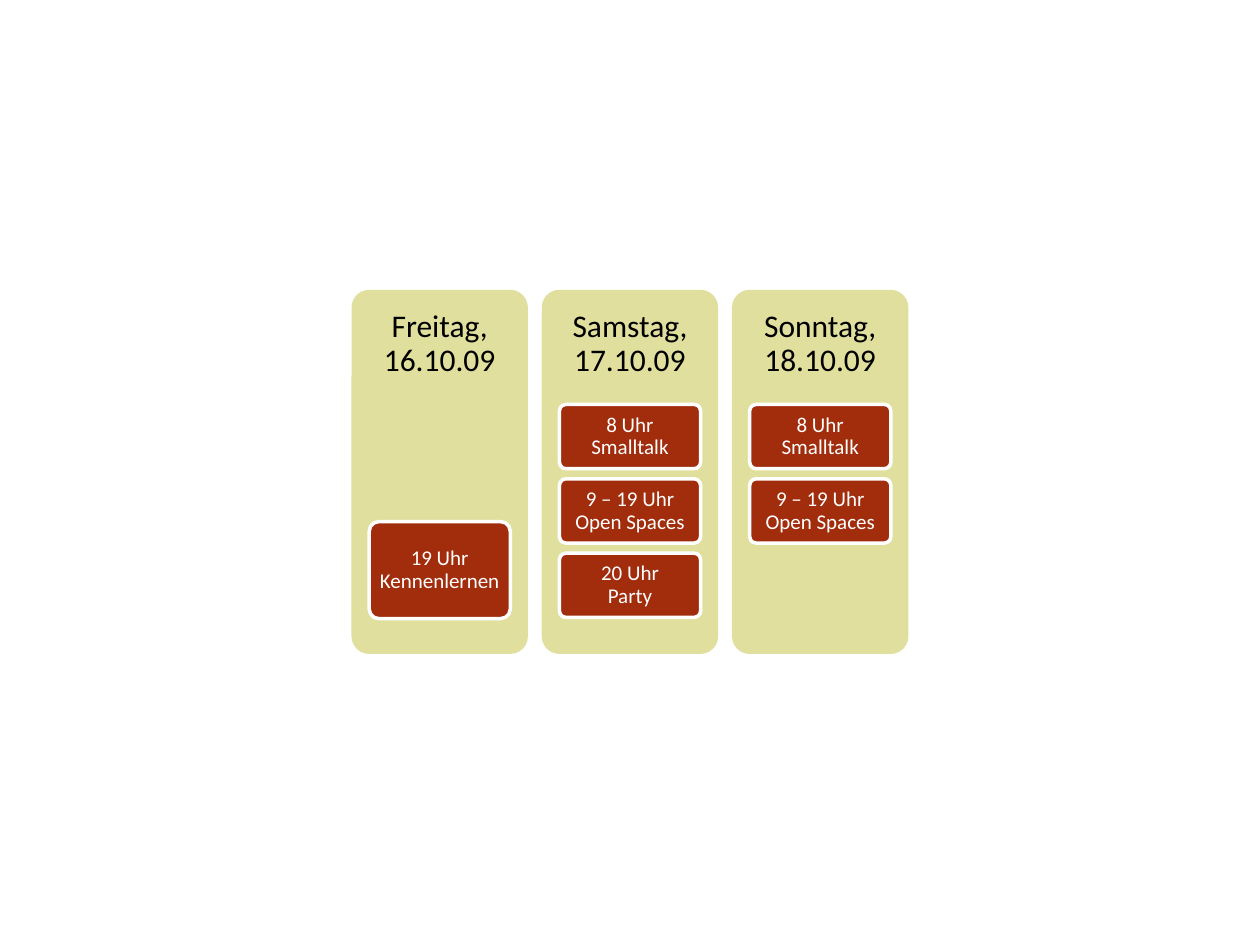
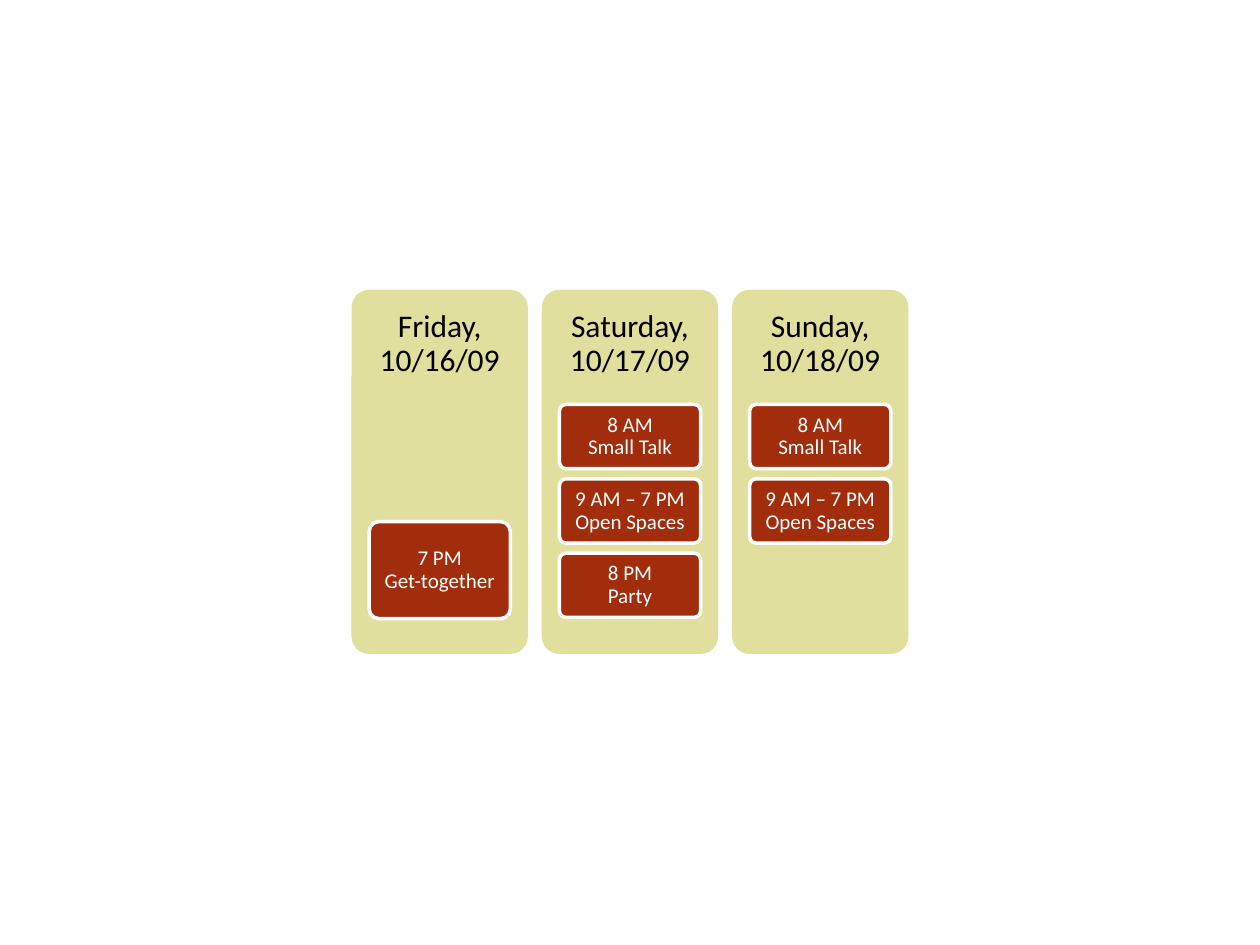
import pptx
import pptx.util
import pptx.dml.color
import pptx.enum.shapes
import pptx.enum.text

# Content: per slide, days as (heading, cards from top to bottom; None = free row)
PLANS = [
    [
        ("Freitag, 16.10.09", [None, "19 Uhr Kennenlernen"]),
        ("Samstag, 17.10.09",
         ["8 Uhr\nSmalltalk", "9 – 19 Uhr\nOpen Spaces", "20 Uhr\nParty"]),
        ("Sonntag, 18.10.09",
         ["8 Uhr\nSmalltalk", "9 – 19 Uhr\nOpen Spaces", None]),
    ],
    [
        ("Friday, 10/16/09", [None, "7 PM\nGet-together"]),
        ("Saturday, 10/17/09",
         ["8 AM\nSmall Talk", "9 AM – 7 PM\nOpen Spaces", "8 PM\nParty"]),
        ("Sunday, 10/18/09",
         ["8 AM\nSmall Talk", "9 AM – 7 PM\nOpen Spaces", None]),
    ],
]

# Shared style
SAND = pptx.dml.color.RGBColor(0xE1, 0xDF, 0x9E)
RUST = pptx.dml.color.RGBColor(0xA1, 0x2D, 0x0D)
WHITE = pptx.dml.color.RGBColor(0xFF, 0xFF, 0xFF)
BLACK = pptx.dml.color.RGBColor(0x00, 0x00, 0x00)
FONT = "Calibri"
ROUND = 0.1

# Grid, in inches
WIDE, HIGH = 10, 7.5
TOP, TALL = 2.3, 2.89
COL, STEP = 1.4, 1.51
LEFT = (WIDE - COL - 2 * STEP) / 2
HEAD = 0.87
CARD = 0.8 * COL
# Number of rows: (first top, card height, row step)
ROWS = {2: (3.25, 0.77, 0.89), 3: (3.21, 0.51, 0.59)}


def place(*box):
    return [pptx.util.Inches(n) for n in box]


def write(shape, text, size, color, inset):
    frame = shape.text_frame
    frame.word_wrap = True
    frame.vertical_anchor = pptx.enum.text.MSO_ANCHOR.MIDDLE
    pad = pptx.util.Inches(inset)
    frame.margin_left = frame.margin_right = pad
    frame.margin_top = frame.margin_bottom = pad
    para = frame.paragraphs[0]
    para.alignment = pptx.enum.text.PP_ALIGN.CENTER
    para.line_spacing = 0.9
    for i, line in enumerate(text.split("\n")):
        if i:
            para.add_line_break()
        run = para.add_run()
        run.text = line
        run.font.name = FONT
        run.font.size = pptx.util.Pt(size)
        run.font.color.rgb = color


def panel(group, box, fill, edge=None):
    kind = pptx.enum.shapes.MSO_SHAPE.ROUNDED_RECTANGLE
    shape = group.shapes.add_shape(kind, *place(*box))
    shape.adjustments[0] = ROUND
    shape.shadow.inherit = False
    shape.fill.solid()
    shape.fill.fore_color.rgb = fill
    if edge is None:
        shape.line.fill.background()
    else:
        shape.line.color.rgb = edge
        shape.line.width = pptx.util.Pt(2)
    return shape


def draw_day(group, left, title, cards):
    # Column and heading
    panel(group, (left, TOP, COL, TALL), SAND)
    head = group.shapes.add_textbox(*place(left, TOP, COL, HEAD))
    write(head, title, 18, BLACK, 0.07)
    # Cards
    top, tall, step = ROWS[len(cards)]
    side = left + (COL - CARD) / 2
    for row, text in enumerate(cards):
        if text:
            box = (side, top + row * step, CARD, tall)
            write(panel(group, box, RUST, WHITE), text, 12, WHITE, 0.03)


def main():
    deck = pptx.Presentation()
    deck.slide_width, deck.slide_height = place(WIDE, HIGH)
    for plan in PLANS:
        slide = deck.slides.add_slide(deck.slide_layouts[6])
        group = slide.shapes.add_group_shape()
        for col, (title, cards) in enumerate(plan):
            draw_day(group, LEFT + col * STEP, title, cards)
    deck.save("out.pptx")


if __name__ == "__main__":
    main()
